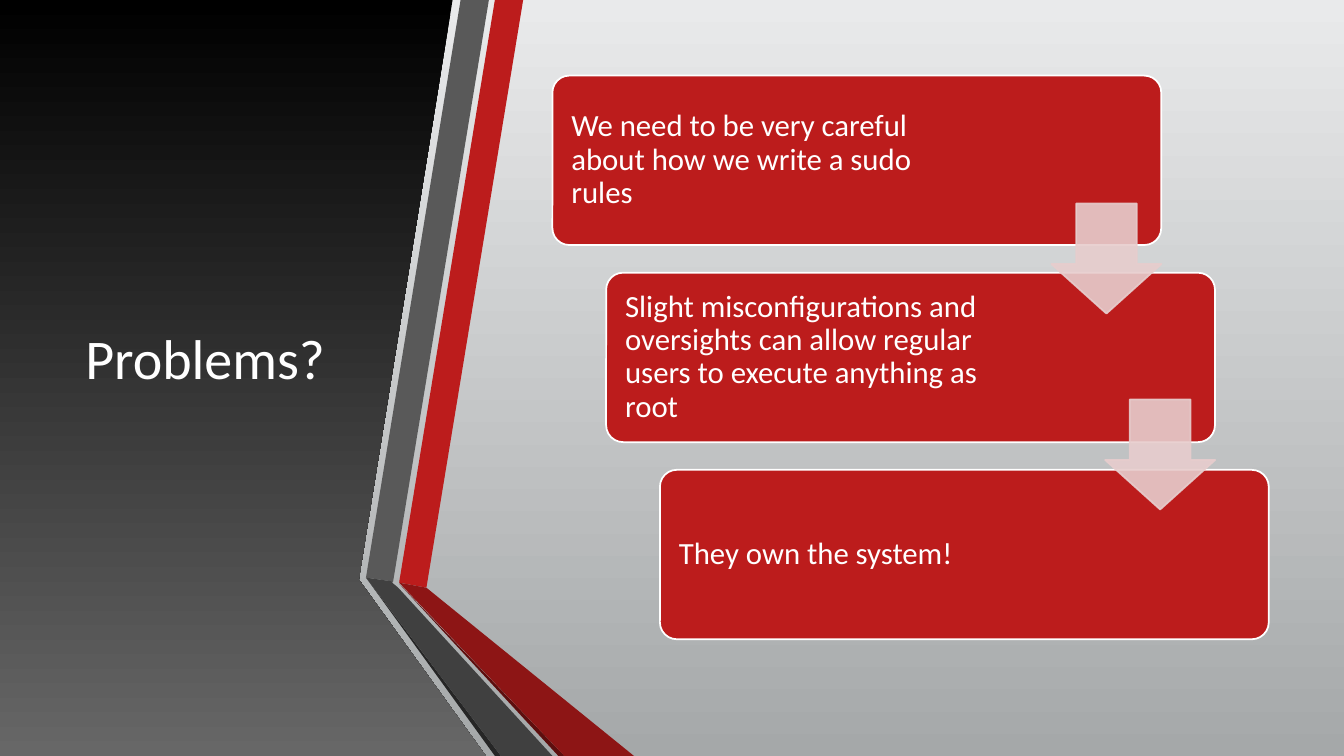
from pptx import Presentation
from pptx.dml.color import RGBColor
from pptx.enum.shapes import MSO_SHAPE as Shape
from pptx.enum.text import MSO_ANCHOR as Anchor, PP_ALIGN as Align
from pptx.oxml.ns import qn
from pptx.util import Pt
from lxml.etree import SubElement

WIDTH, HEIGHT = 960, 540
FONT = "Calibri"
WHITE, RED, PINK = "FFFFFF", "BC1C1C", "E7CDCD"
STEP_X = 38.4

PANEL = [(0, 0), (254.2, 0), (323.3, 0), (256.3, 414), (347, HEIGHT), (0, HEIGHT)]
RIBBONS = [
    (RED, [(285.1, 416.2), (304.6, 419.8), (373.7, 0), (353.5, 0)]),
    ("595959", [(349.2, 0), (329, 0), (261.4, 412.6), (280.8, 415.4)]),
    ("262626", [(261.4, 412.6), (353.5, HEIGHT), (357.8, HEIGHT)]),
    ("5E0E0E", [(285.1, 416.9), (398.9, HEIGHT), (403.2, HEIGHT)]),
    ("8D1515", [(285.1, 416.2), (403.2, HEIGHT), (452.9, HEIGHT), (304.6, 419.8)]),
    ("404040", [(394.6, HEIGHT), (284.4, 419.8), (280.1, 416.2), (280.8, 415.4),
                (261.4, 412.6), (357.8, HEIGHT)]),
]
# Each card's text and the room kept free at its right for the arrow
CARDS = [
    ("We need to be very careful about how we write a sudo rules", 133),
    ("Slight misconfigurations and oversights can allow regular users "
     "to execute anything as root", 126.5),
    ("They own the system!", 126.5),
]


def color(hex_text):
    return RGBColor.from_string(hex_text)


class SlideBuilder:
    def __init__(self, page):
        self.page = page
        self.shapes = page.shapes

    def gradient(self, fill, top, bottom):
        fill.gradient()
        fill.gradient_angle = 270
        for stop, shade in zip(fill.gradient_stops, (top, bottom)):
            stop.color.rgb = color(shade)

    def paint(self, shape, fill, line=None, opacity=None):
        """Give a shape a plain fill and an outline, both equally opaque."""
        shape.shadow.inherit = False
        shape.fill.solid()
        shape.fill.fore_color.rgb = color(fill)
        if line is None:
            shape.line.fill.background()
        else:
            shape.line.color.rgb = color(line)
            shape.line.width = Pt(1.25)
        if opacity is not None:
            for tint in shape.element.spPr.iter(qn("a:srgbClr")):
                SubElement(tint, qn("a:alpha"), val=str(opacity * 1000))

    def polygon(self, points, fill):
        corners = [(Pt(x), Pt(y)) for x, y in points]
        builder = self.shapes.build_freeform(*corners[0])
        builder.add_line_segments(corners[1:], close=True)
        shape = builder.convert_to_shape()
        self.paint(shape, fill)
        return shape

    def preset(self, kind, left, top, width, height, adjustments):
        shape = self.shapes.add_shape(kind, Pt(left), Pt(top), Pt(width), Pt(height))
        for index, value in enumerate(adjustments):
            shape.adjustments[index] = value
        return shape

    def set_text(self, shape, text, size, align):
        frame = shape.text_frame
        frame.word_wrap = True
        frame.vertical_anchor = Anchor.MIDDLE
        para = frame.paragraphs[0]
        para.text = text
        para.alignment = align
        para.font.name = FONT
        para.font.size = Pt(size)
        para.font.color.rgb = color(WHITE)
        return frame

    def title(self, text, left, top, width, height):
        title = self.shapes.title
        title.left, title.top = Pt(left), Pt(top)
        title.width, title.height = Pt(width), Pt(height)
        self.set_text(title, text, 40, Align.CENTER)
        # Bring the title in front of the dark panel
        title.element.getparent().append(title.element)

    def card(self, text, left, top, margin_right):
        card = self.preset(Shape.ROUNDED_RECTANGLE, left, top, 434.9, 121, [0.1])
        self.paint(card, RED, WHITE)
        frame = self.set_text(card, text, 22, Align.LEFT)
        frame.margin_left, frame.margin_right = Pt(10), Pt(margin_right)
        frame.paragraphs[0].line_spacing = 0.9

    def arrow(self, left, top):
        arrow = self.preset(Shape.DOWN_ARROW, left, top, 78.6, 78.6, [0.55, 0.45])
        self.paint(arrow, PINK, PINK, opacity=90)


def main():
    deck = Presentation()
    deck.slide_width, deck.slide_height = Pt(WIDTH), Pt(HEIGHT)
    page = deck.slides.add_slide(deck.slide_layouts[5])
    builder = SlideBuilder(page)

    builder.gradient(page.background.fill, "E9EAEB", "A5A8A9")
    panel = builder.polygon(PANEL, "000000")
    builder.gradient(panel.fill, "000000", "676767")
    builder.title("Problems?", 42.5, 54, 208, 402)
    for fill, points in RIBBONS:
        builder.polygon(points, fill)

    for index, (text, margin_right) in enumerate(CARDS):
        builder.card(text, 394.6 + index * STEP_X, 54 + index * 140.8, margin_right)
    for index in range(len(CARDS) - 1):
        builder.arrow(751 + index * STEP_X, 145.4 + index * 139.9)

    deck.save("out.pptx")


if __name__ == "__main__":
    main()
